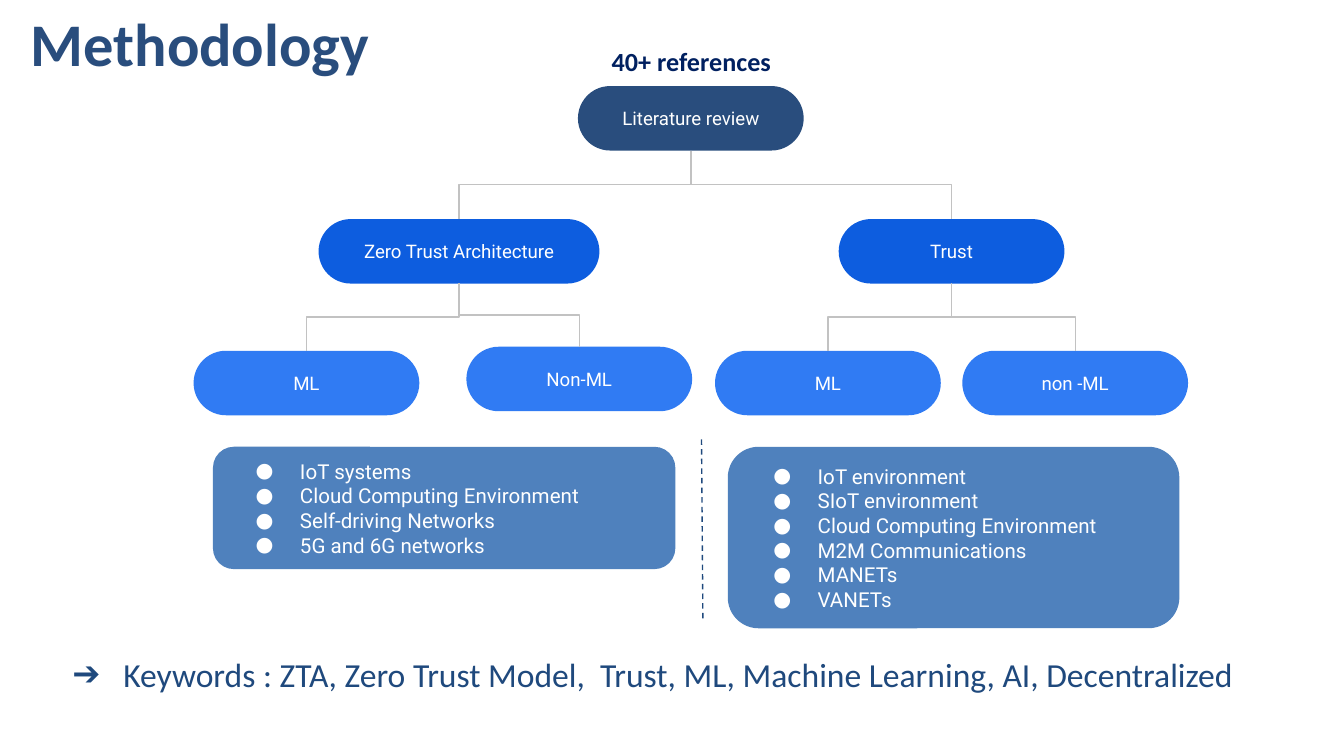
from dataclasses import dataclass

from lxml.etree import SubElement
from pptx import Presentation
from pptx.dml.color import RGBColor
from pptx.enum.dml import MSO_LINE
from pptx.enum.shapes import MSO_CONNECTOR, MSO_SHAPE
from pptx.enum.text import MSO_ANCHOR, MSO_AUTO_SIZE, PP_ALIGN
from pptx.oxml.ns import qn
from pptx.util import Inches, Pt


@dataclass(frozen=True)
class Theme:
    """Colours, fonts and type sizes of the slide."""
    navy: str = "294D7D"
    ink: str = "1F497D"
    note: str = "002060"
    blue: str = "0D5DDF"
    sky: str = "307BF3"
    steel: str = "4F81BD"
    gray: str = "C2C2C2"
    white: str = "FFFFFF"
    serif: str = "Calibri"
    sans: str = "Roboto"
    title: float = 32.4
    large: float = 18
    label: float = 14
    list: float = 11
    node: float = 10


THEME = Theme()


def color(code):
    """Turn a hex code into a colour."""
    return RGBColor.from_string(code)


def place(box):
    """Turn a box in inches into lengths."""
    return [Inches(side) for side in box]


def shift(box, x, y, w, h):
    """Give a part's box from its offset in a region's box."""
    return box[0] + x, box[1] + y, w, h


def bullet(para, mark, code, font, hang):
    """Give a paragraph a coloured bullet and a hanging indent."""
    props = para._p.get_or_add_pPr()
    props.set("marL", str(Inches(0.5)))
    props.set("indent", str(-Inches(hang)))
    tint = SubElement(props, qn("a:buClr"))
    SubElement(tint, qn("a:srgbClr")).set("val", code)
    SubElement(props, qn("a:buFont")).set("typeface", font)
    SubElement(props, qn("a:buChar")).set("char", mark)


def write(shape, *lines, size, code=THEME.white, font=THEME.sans, bold=False,
          align=PP_ALIGN.LEFT, anchor=MSO_ANCHOR.MIDDLE, inset=0.1,
          mark=None, hang=0.33):
    """Write lines into a shape, one paragraph each."""
    frame = shape.text_frame
    frame.word_wrap = True
    frame.auto_size = MSO_AUTO_SIZE.NONE
    frame.vertical_anchor = anchor
    frame.margin_left = frame.margin_right = Inches(0.1)
    frame.margin_top = frame.margin_bottom = Inches(inset)
    for i, line in enumerate(lines):
        para = frame.add_paragraph() if i else frame.paragraphs[0]
        if mark:
            bullet(para, mark, code, font, hang)
        para.alignment = align
        run = para.add_run()
        run.text = line
        run.font.size, run.font.name, run.font.bold = Pt(size), font, bold
        run.font.color.rgb = color(code)


def block(slide, box, fill, curve, edge=None):
    """Draw a rounded block."""
    shape = slide.shapes.add_shape(MSO_SHAPE.ROUNDED_RECTANGLE, *place(box))
    shape.shadow.inherit = False
    shape.adjustments[0] = curve
    shape.fill.solid()
    shape.fill.fore_color.rgb = color(fill)
    if edge:
        shape.line.color.rgb = color(edge)
        shape.line.width = Pt(0.75)
    else:
        shape.line.fill.background()
    return shape


def rule(slide, kind, ends, code):
    """Draw a thin line without a shadow."""
    line = slide.shapes.add_connector(kind, *ends)
    line.line.color.rgb = color(code)
    line.line.width = Pt(0.75)
    SubElement(line._element.spPr, qn("a:effectLst"))
    return line


def link(slide, top, low):
    """Join a parent's bottom to a child's top with an elbow."""
    start = top.left + top.width // 2, top.top + top.height
    end = low.left + low.width // 2, low.top
    line = rule(slide, MSO_CONNECTOR.ELBOW, (*start, *end), THEME.gray)
    line.begin_connect(top, 2)
    line.end_connect(low, 0)
    wide, tall = end[0] - start[0], end[1] - start[1]
    line.width, line.height = tall, abs(wide)
    line.left = (start[0] + end[0] - tall) // 2
    line.top = (start[1] + end[1] - abs(wide)) // 2
    form = line._element.spPr.find(qn("a:xfrm"))
    form.set("rot", "16200000" if wide > 0 else "5400000")
    form.set("flipH", "1" if wide > 0 else "0")
    form.set("flipV", "0")


def head(slide, box):
    """Place the title and the count of references."""
    title = slide.shapes.title
    title.left, title.top, title.width, title.height = place(
        shift(box, 0, 0, 5.02, 0.63))
    write(title, "Methodology", size=THEME.title, code=THEME.navy,
          font=THEME.serif, bold=True, inset=0.05)
    count = slide.shapes.add_textbox(*place(shift(box, 4.15, 0.24, 1.73, 0.44)))
    write(count, "40+ references", size=THEME.label, code=THEME.note,
          font=THEME.serif, bold=True, align=PP_ALIGN.CENTER,
          anchor=MSO_ANCHOR.TOP)


def tree(slide, box):
    """Place the review tree, each node linked to its parent."""
    nodes = (
        ("Literature review", 2.86, 0, 1.68, THEME.navy, None),
        ("Zero Trust Architecture", 0.93, 0.99, 2.09, THEME.blue, 0),
        ("Trust", 4.8, 0.99, 1.68, THEME.blue, 0),
        ("ML", 0, 1.97, 1.68, THEME.sky, 1),
        ("Non-ML", 2.03, 1.94, 1.68, THEME.sky, 1),
        ("ML", 3.88, 1.97, 1.68, THEME.sky, 2),
        ("non -ML", 5.72, 1.97, 1.68, THEME.sky, 2),
    )
    pills = []
    for text, x, y, wide, fill, up in nodes:
        pill = block(slide, shift(box, x, y, wide, 0.48), fill, 0.5)
        write(pill, text, size=THEME.node, align=PP_ALIGN.CENTER)
        pills.append(pill)
        if up is not None:
            link(slide, pills[up], pill)


def fields(slide, box):
    """Place the two lists and the dashed line between them."""
    lists = (
        (0, 3.43, 0.9, ("IoT systems", "Cloud Computing Environment",
                        "Self-driving Networks", "5G and 6G networks")),
        (3.83, 3.35, 1.34, ("IoT environment", "SIoT environment",
                            "Cloud Computing Environment",
                            "M2M Communications", "MANETs", "VANETs")),
    )
    for x, wide, tall, lines in lists:
        panel = block(slide, shift(box, x, 0.06, wide, tall), THEME.steel,
                      0.167, THEME.steel)
        write(panel, *lines, size=THEME.list, mark="●")
    x, y = box[:2]
    line = rule(slide, MSO_CONNECTOR.STRAIGHT,
                place((x + 3.63, y, x + 3.64, y + box[3])), THEME.ink)
    line.line.dash_style = MSO_LINE.DASH


def foot(slide, box):
    """Place the keywords."""
    words = slide.shapes.add_textbox(*place(box))
    write(words, "Keywords : ZTA, Zero Trust Model,  Trust, ML, "
          "Machine Learning, AI, Decentralized", size=THEME.large,
          code=THEME.ink, font=THEME.serif, anchor=MSO_ANCHOR.TOP,
          inset=0.05, mark="➔", hang=0.38)


def main():
    """Build and save the slide."""
    deck = Presentation()
    deck.slide_width = Inches(10)
    deck.slide_height = deck.slide_width * 9 // 16
    slide = deck.slides.add_slide(deck.slide_layouts[5])
    head(slide, (0.13, 0, 5.88, 0.68))
    tree(slide, (1.44, 0.64, 7.4, 2.45))
    fields(slide, (1.59, 3.27, 7.18, 1.35))
    foot(slide, (0.32, 4.82, 9.23, 0.63))
    deck.save("out.pptx")


if __name__ == "__main__":
    main()
